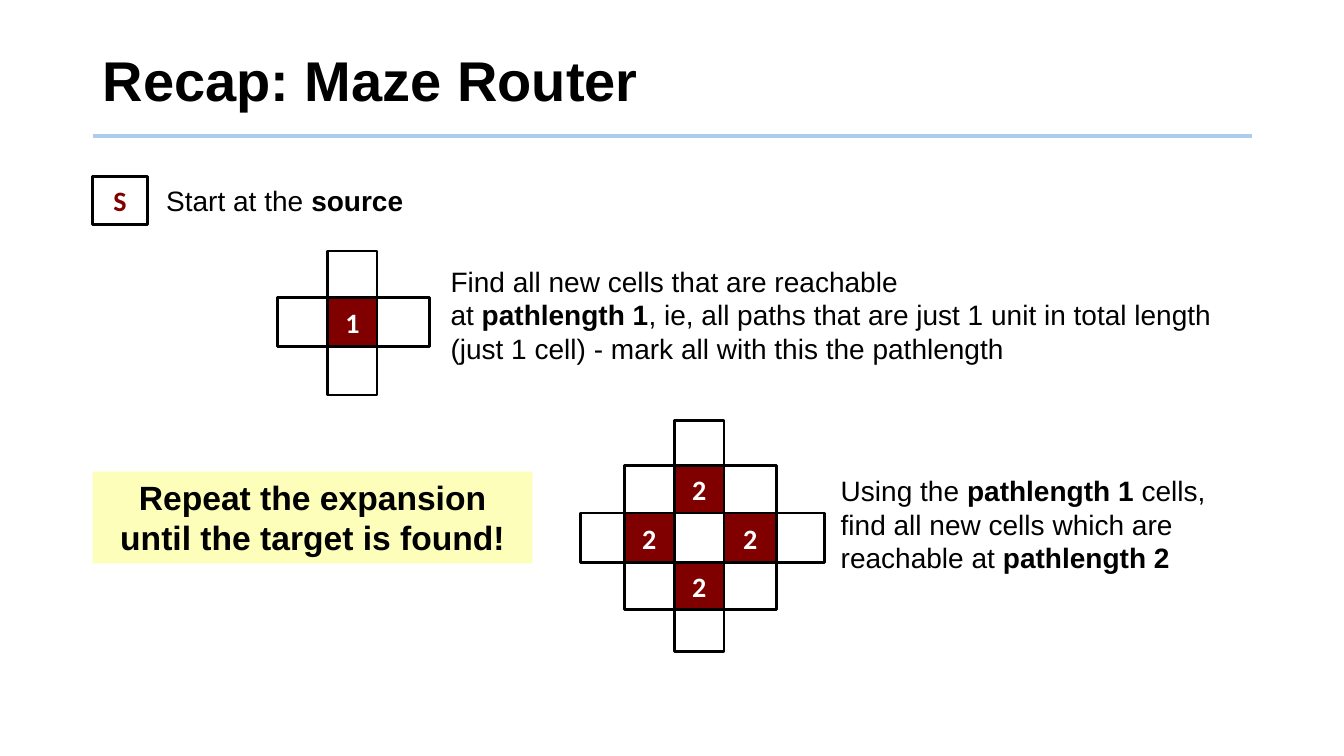
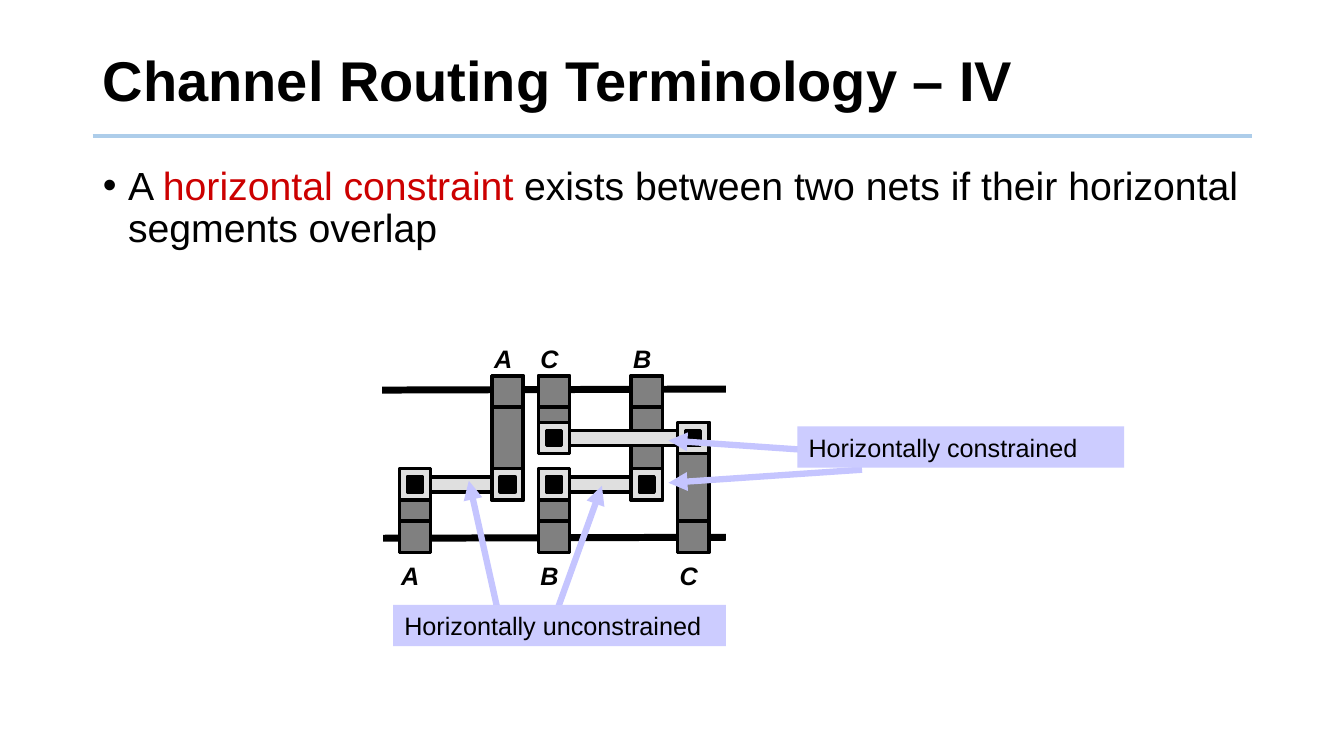
from lxml import etree
from pptx import Presentation, util as u
from pptx.dml.color import RGBColor
from pptx.enum import shapes, text
from pptx.oxml.ns import qn

BLACK, WHITE = RGBColor(0, 0, 0), RGBColor(255, 255, 255)
RULE = RGBColor(0xAD, 0xCD, 0xEA)
MAROON, RED = RGBColor(0x80, 0, 0), RGBColor(0xCC, 0, 0)
YELLOW, LILAC = RGBColor(0xFC, 0xFE, 0xB9), RGBColor(0xCC, 0xCC, 0xFF)
ARROW = RGBColor(0xC5, 0xC5, 0xFF)
GRAY, PALE = RGBColor(0x80, 0x80, 0x80), RGBColor(0xDF, 0xDF, 0xDF)
MID, LEFT = text.PP_ALIGN.CENTER, text.PP_ALIGN.LEFT
BOLD = {"bold": True}
SIDE, WIDE = 0.92, 11.5

# Paragraphs are lists of runs; a run is its text and its own format.
NOTES = [
    ((1.55, 1.77, 2.8, 0.43), [[("Start at the ", {}), ("source", BOLD)]]),
    ((4.37, 2.57, 8.05, 1.11), [
        [("Find all new cells that are reachable", {})],
        [("at ", {}), ("pathlength 1", BOLD),
         (", ie, all paths that are just 1 unit in total length "
          "(just 1 cell) - mark all with this the pathlength", {})]]),
    ((8.24, 4.65, 4.17, 1.11), [
        [("Using the ", {}), ("pathlength 1", BOLD), (" cells,", {})],
        [("find all new cells which are reachable at ", {}),
         ("pathlength 2", BOLD)]]),
]
REPEAT = [[("Repeat the expansion until the target is found!", BOLD)]]

# Mazes: grid edges, outlines as (left, top, right, bottom) edge numbers,
# marked cells as (column, row), their mark, fill and text colour.
MAZES = [
    ((0.92, 1.46), (1.75, 2.23), [(0, 0, 1, 1)], [(0, 0)], "S", None, MAROON),
    ((2.75, 3.25, 3.74, 4.26), (2.49, 2.95, 3.44, 3.92),
     [(0, 1, 3, 2), (1, 0, 2, 3)], [(1, 1)], "1", MAROON, WHITE),
    ((5.76, 6.19, 6.69, 7.18, 7.7, 8.18), (4.17, 4.62, 5.09, 5.58, 6.05, 6.46),
     [(0, 2, 5, 3), (2, 0, 3, 5), (1, 1, 4, 4)],
     [(2, 1), (1, 2), (3, 2), (2, 3)], "2", MAROON, WHITE),
]

RULING = [[("A ", {}), ("horizontal constraint", {"color": RED}),
           (" exists between two nets if their horizontal segments overlap", {})]]
# Nets: name, track row, columns of the left and right ends, side of each pin.
NETS = [("A", 2, (0, 2), ("low", "top")),
        ("B", 2, (3, 5), ("low", "top")),
        ("C", 1, (3, 6), ("top", "low"))]
COLS = [3.96 + 0.46 * n for n in range(7)]
ROWS = [3.73, 4.19, 4.65, 5.17]
PIN, VIA = 0.31, 0.15
EDGES = [(7.2, 5.33, 3.8, 5.34), (7.2, 3.86, 3.79, 3.87)]
CALLS = [
    ("Horizontally unconstrained", (3.9, 6, 3.3, 0.41),
     [(4.94, 6.07, 4.65, 4.77), (5.52, 6.07, 5.97, 4.82)]),
    ("Horizontally constrained", (7.91, 4.23, 3.24, 0.41),
     [(8.55, 4.66, 6.63, 4.79), (8.81, 4.52, 6.63, 4.37)]),
]


def inches(nums):
    return [u.Inches(n) for n in nums]


def write(frame, paras, size, color=BLACK, font="Arial", align=LEFT,
          inset=0.1, anchor=text.MSO_ANCHOR.TOP, space=1.0, bullet=False):
    form = {"word_wrap": True, "auto_size": text.MSO_AUTO_SIZE.NONE,
            "vertical_anchor": anchor,
            "margin_left": u.Inches(inset), "margin_right": u.Inches(inset),
            "margin_top": u.Inches(inset / 2),
            "margin_bottom": u.Inches(inset / 2)}
    for key, val in form.items():
        setattr(frame, key, val)
    for num, runs in enumerate(paras):
        para = frame.add_paragraph() if num else frame.paragraphs[0]
        para.alignment, para.line_spacing = align, space
        para.space_before = u.Pt(0)
        if bullet:
            props = para._p.get_or_add_pPr()
            props.set("marL", str(u.Inches(0.25)))
            props.set("indent", str(-u.Inches(0.25)))
            etree.SubElement(props, qn("a:buChar"), char="•")
        for words, own in runs:
            run = para.add_run()
            run.text = words
            look = {"name": font, "size": u.Pt(size), "bold": False, **own}
            run.font.color.rgb = look.pop("color", color)
            for key, val in look.items():
                setattr(run.font, key, val)


def rect(slide, box, fill=None, line=None, width=2.5):
    shape = slide.shapes.add_shape(shapes.MSO_SHAPE.RECTANGLE, *inches(box))
    shape.shadow.inherit = False
    if fill is None:
        shape.fill.background()
    else:
        shape.fill.solid()
        shape.fill.fore_color.rgb = fill
    if line is None:
        shape.line.fill.background()
    else:
        shape.line.color.rgb, shape.line.width = line, u.Pt(width)
    return shape


def label(slide, box, paras, size, **form):
    write(slide.shapes.add_textbox(*inches(box)).text_frame, paras, size, **form)


def stroke(slide, ends, color, width, head=False):
    link = slide.shapes.add_connector(shapes.MSO_CONNECTOR.STRAIGHT, *inches(ends))
    link.line.color.rgb, link.line.width = color, u.Pt(width)
    if head:
        etree.SubElement(link.line._get_or_add_ln(), qn("a:tailEnd"), type="triangle")
    etree.SubElement(link._element.spPr, qn("a:effectLst"))
    return link


def place(holder, box):
    for key, val in zip(("left", "top", "width", "height"), inches(box)):
        setattr(holder, key, val)


def start(deck, layout, title):
    slide = deck.slides.add_slide(deck.slide_layouts[layout])
    place(slide.shapes.title, (SIDE, 0.28, WIDE, 1.1))
    write(slide.shapes.title.text_frame, [[(title, BOLD)]], 40,
          anchor=text.MSO_ANCHOR.MIDDLE, space=0.9)
    stroke(slide, (SIDE, 1.35, SIDE + WIDE, 1.35), RULE, 3)
    return slide


def maze(slide, xs, ys, bars, cells, mark, fill, color):
    def span(a, b, c, d):
        return xs[a], ys[b], xs[c] - xs[a], ys[d] - ys[b]

    for col, row in cells:
        cell = rect(slide, span(col, row, col + 1, row + 1), fill)
        write(cell.text_frame, [[(mark, BOLD)]], 20, color, "Calibri", MID,
              inset=0, anchor=text.MSO_ANCHOR.MIDDLE)
    for bar in bars:
        rect(slide, span(*bar), line=BLACK, width=2)


def channel(slide):
    for ends in EDGES:
        stroke(slide, ends, BLACK, 5)
    ends = [(name, COLS[col], ROWS[row], side)
            for name, row, cols, sides in NETS for col, side in zip(cols, sides)]
    for name, x, y, side in ends:
        pin = ROWS[0] if side == "top" else ROWS[-1]
        rect(slide, (x, min(y, pin), PIN, abs(y - pin) + PIN), GRAY, BLACK)
        rect(slide, (x, pin, PIN, PIN), GRAY, BLACK)
        top = 3.41 if side == "top" else 5.56
        label(slide, (x - 0.08, top, 0.38, 0.3),
              [[(name, {"bold": True, "italic": True})]], 18, align=MID, inset=0)
    gap = (PIN - VIA) / 2
    for _, x, y, _ in ends:
        rect(slide, (x, y, PIN, PIN), PALE, BLACK)
        rect(slide, (x + gap, y + gap, VIA, VIA), BLACK, BLACK)
    for _, row, (a, b), _ in NETS:
        x = COLS[a] + PIN
        rect(slide, (x, ROWS[row] + gap, COLS[b] - x, VIA), PALE, BLACK)


def main():
    deck = Presentation()
    deck.slide_width, deck.slide_height = inches((13.33, 7.5))

    recap = start(deck, 5, "Recap: Maze Router")
    for grid in MAZES:
        maze(recap, *grid)
    for box, paras in NOTES:
        label(recap, box, paras, 20)
    banner = rect(recap, (SIDE, 4.68, 4.36, 0.91), YELLOW)
    write(banner.text_frame, REPEAT, 24, align=MID)

    terms = start(deck, 1, "Channel Routing Terminology – IV")
    body = terms.placeholders[1]
    place(body, (SIDE, 1.6, WIDE, 5.15))
    write(body.text_frame, RULING, 28, space=0.9, bullet=True)
    channel(terms)
    for words, box, arrows in CALLS:
        for ends in arrows:
            stroke(terms, ends, ARROW, 4.5, head=True)
        write(rect(terms, box, LILAC).text_frame, [[(words, {})]], 18, inset=0.11)

    deck.save("out.pptx")


if __name__ == "__main__":
    main()
